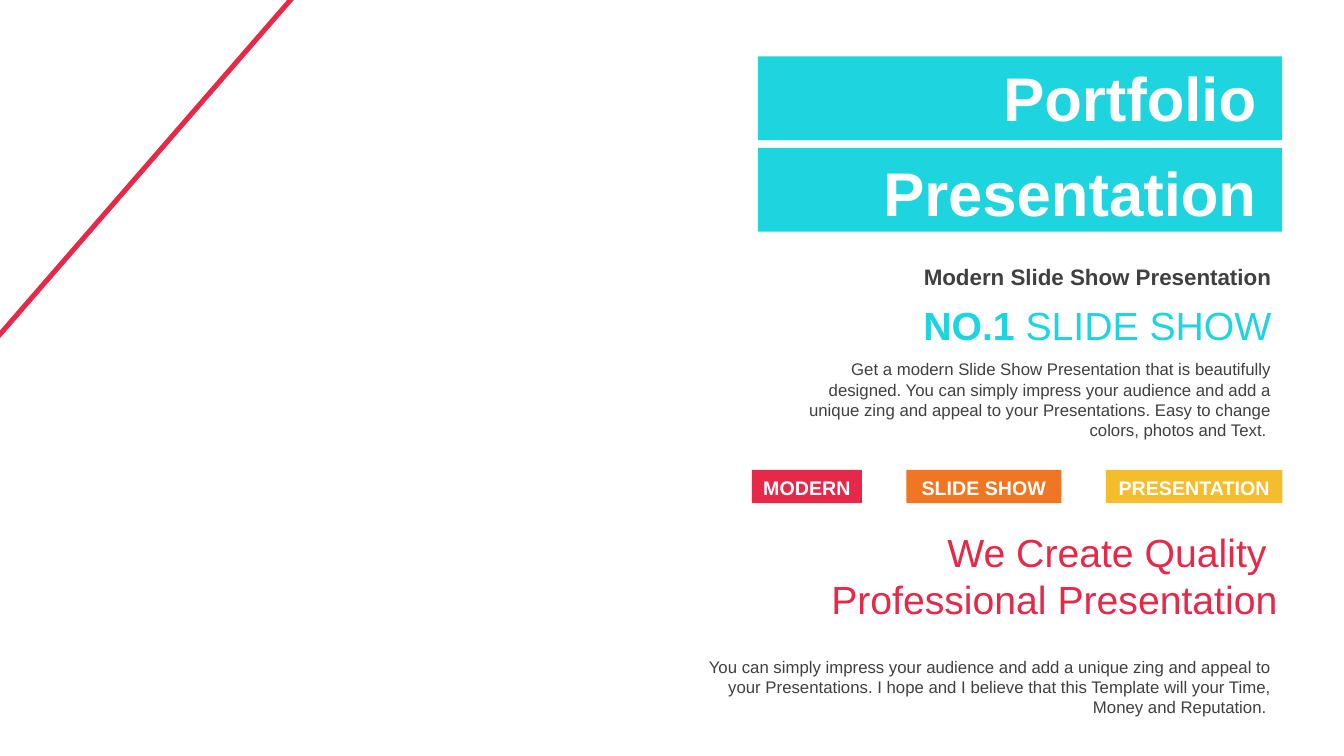
"""Build the cover slide of a portfolio presentation."""
from lxml.etree import SubElement
from pptx import Presentation
from pptx.dml.color import RGBColor
from pptx.enum.shapes import MSO_CONNECTOR, MSO_SHAPE
from pptx.enum.text import MSO_ANCHOR, MSO_AUTO_SIZE, PP_ALIGN
from pptx.oxml.ns import qn
from pptx.util import Cm, Pt

CYAN = RGBColor(0x1E, 0xD4, 0xDE)
RED = RGBColor(0xE6, 0x29, 0x49)
ORANGE = RGBColor(0xF0, 0x76, 0x24)
YELLOW = RGBColor(0xF4, 0xBD, 0x2D)
GREY = RGBColor(0x40, 0x40, 0x40)
WHITE = RGBColor(0xFF, 0xFF, 0xFF)


def write(shape, text, size, color, bold=False, light_tail="", align=PP_ALIGN.RIGHT,
          anchor=MSO_ANCHOR.TOP, insets=(0.25, 0.13, 0.25, 0.13), line_spacing=1.0, gap=0):
    frame = shape.text_frame
    frame.word_wrap = True
    frame.auto_size = MSO_AUTO_SIZE.NONE
    frame.vertical_anchor = anchor
    frame.margin_left, frame.margin_top, frame.margin_right, frame.margin_bottom = map(Cm, insets)
    frame.text = text
    if light_tail:
        frame.paragraphs[-1].add_run().text = light_tail
    for number, paragraph in enumerate(frame.paragraphs):
        paragraph.alignment = align
        paragraph.line_spacing = line_spacing
        paragraph.space_before = Pt(gap if number else 0)
        for position, run in enumerate(paragraph.runs):
            run.font.name = "Arial"
            run.font.size = Pt(size)
            run.font.bold = bold and position == 0
            run.font.color.rgb = color


def add_block(slide, left, top, width, height, color):
    block = slide.shapes.add_shape(MSO_SHAPE.RECTANGLE, Cm(left), Cm(top), Cm(width), Cm(height))
    block.shadow.inherit = False
    block.fill.solid()
    block.fill.fore_color.rgb = color
    block.line.fill.background()
    return block


presentation = Presentation()
presentation.slide_width = Cm(33.87)
presentation.slide_height = Cm(19.05)
cover = presentation.slides.add_slide(presentation.slide_layouts[5])

for row in range(2):
    add_block(cover, 19.1, 1.42 + row * 2.31, 13.21, 2.11, CYAN)

title = cover.shapes.title
title.left, title.top, title.width, title.height = Cm(20.6), Cm(1.42), Cm(11.68), Cm(4.42)
write(title, "Portfolio\nPresentation", 44, WHITE, bold=True, anchor=MSO_ANCHOR.MIDDLE,
      insets=(0.61, 0.2, 0.61, 0.2), gap=15)
title.element.getparent().append(title.element)

RIGHT_EDGE = 32.29
passages = [
    (6.5, 12.3, 0.94, "Modern Slide Show Presentation",
     dict(size=16, color=GREY, bold=True)),
    (7.47, 12.3, 1.45, "NO.1 ",
     dict(size=28, color=CYAN, bold=True, light_tail="SLIDE SHOW")),
    (8.92, 12.3, 2.31,
     "Get a modern Slide Show Presentation that is beautifully designed. You can simply "
     "impress your audience and add a unique zing and appeal to your Presentations. "
     "Easy to change colors, photos and Text. ",
     dict(size=12, color=GREY)),
    (13.31, 12.3, 2.39, "We Create Quality \nProfessional Presentation",
     dict(size=28, color=RED, anchor=MSO_ANCHOR.MIDDLE, insets=(0.1, 0, 0.1, 0))),
    (16.41, 15.37, 1.8,
     "You can simply impress your audience and add a unique zing and appeal to your "
     "Presentations. I hope and I believe that this Template will your Time, Money and "
     "Reputation. ",
     dict(size=12, color=GREY)),
]
for top, width, height, words, style in passages:
    passage = cover.shapes.add_textbox(Cm(RIGHT_EDGE - width), Cm(top), Cm(width), Cm(height))
    write(passage, words, **style)

TAG_GAP = 1.12
tag_left = 18.95
for word, width, color in [("MODERN", 2.77, RED), ("SLIDE SHOW", 3.91, ORANGE),
                           ("PRESENTATION", 4.45, YELLOW)]:
    tag = add_block(cover, tag_left, 11.84, width, 0.84, color)
    write(tag, word, 14, WHITE, bold=True, align=PP_ALIGN.CENTER, anchor=MSO_ANCHOR.MIDDLE,
          insets=(0.25, 0.25, 0.25, 0.13), line_spacing=0.9)
    tag_left += width + TAG_GAP

diagonal = cover.shapes.add_connector(MSO_CONNECTOR.STRAIGHT, Cm(-0.38), Cm(8.86), Cm(7.45), Cm(-0.15))
diagonal.line.color.rgb = RED
diagonal.line.width = Pt(3.6)
SubElement(diagonal.element.spPr, qn("a:effectLst"))

presentation.save("out.pptx")
